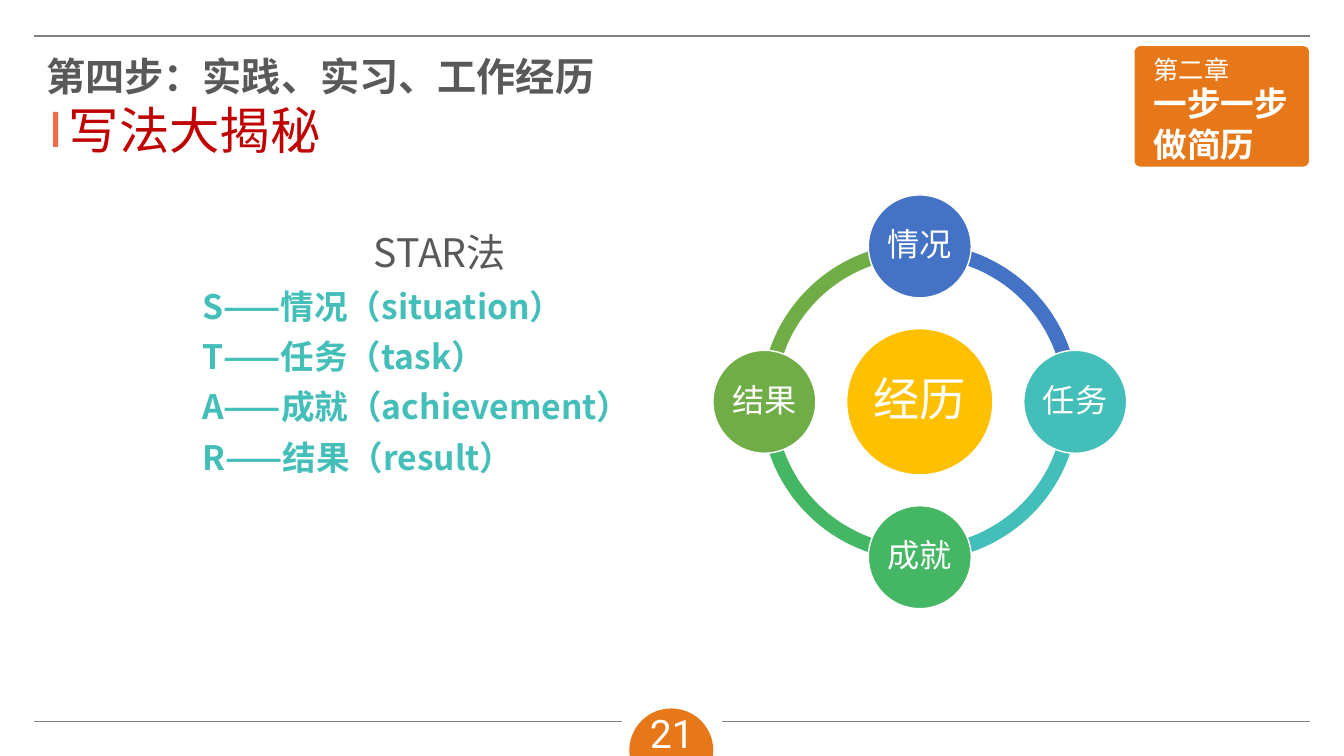
import math

import pptx
import pptx.dml.color
import pptx.enum.shapes
import pptx.enum.text
import pptx.oxml.ns
import pptx.util
from lxml import etree

Pt = pptx.util.Pt
SHAPE = pptx.enum.shapes.MSO_SHAPE
CENTER = pptx.enum.text.PP_ALIGN.CENTER
SANS = "Noto Sans CJK SC"
ORANGE, GRAY, DARK, TEAL, WHITE = "E67819", "808080", "595959", "43BEB9", "FFFFFF"


def color(hex_string):
    return pptx.dml.color.RGBColor.from_string(hex_string)


def format_paragraph(paragraph, size, fill, bold=False, font=SANS, align=None):
    paragraph.alignment = align
    for run in paragraph.runs:
        run.font.size = Pt(size)
        run.font.bold = bold
        run.font.name = font
        run.font.color.rgb = color(fill)
        east_asian = etree.SubElement(run.font._element, pptx.oxml.ns.qn("a:ea"))
        east_asian.set("typeface", font)


def set_insets(text_frame, side, top):
    text_frame.margin_left = text_frame.margin_right = Pt(side)
    text_frame.margin_top = text_frame.margin_bottom = Pt(top)


def add_text(slide, box, text, size, fill, **style):
    text_frame = slide.shapes.add_textbox(*map(Pt, box)).text_frame
    text_frame.word_wrap = True
    text_frame.text = text
    format_paragraph(text_frame.paragraphs[0], size, fill, **style)
    return text_frame


def add_filled(slide, kind, box, fill, outline=None):
    shape = slide.shapes.add_shape(kind, *map(Pt, box))
    shape.shadow.inherit = False
    shape.fill.solid()
    shape.fill.fore_color.rgb = color(fill)
    if outline:
        shape.line.color.rgb = color(outline)
        shape.line.width = Pt(1)
    else:
        shape.line.fill.background()
    return shape


def add_rule(slide, left, right, y, width):
    """Draw a horizontal gray line."""
    line = slide.shapes.add_connector(
        pptx.enum.shapes.MSO_CONNECTOR.STRAIGHT, Pt(left), Pt(y), Pt(right), Pt(y))
    line.line.color.rgb = color(GRAY)
    line.line.width = Pt(width)
    etree.SubElement(line._element.spPr, pptx.oxml.ns.qn("a:effectLst"))


def add_chapter_badge(slide, left, top, width, height):
    badge = add_filled(slide, SHAPE.ROUNDED_RECTANGLE, (left, top, width, height), ORANGE)
    badge.adjustments[0] = 0.046
    add_text(slide, (left + 6.5, top + 2, 98, 29), "第二章", 18, WHITE)
    add_text(slide, (left + 6.5, top + 23, 117.5, 65.5), "一步一步做简历", 24, WHITE, bold=True)


def add_heading(slide, left, top, width):
    add_text(slide, (left, top, width, 41), "第四步：实践、实习、工作经历", 28, DARK, bold=True)
    add_filled(slide, SHAPE.RECTANGLE, (left + 12, top + 46, 3.5, 25), "F26B43")
    add_text(slide, (left + 16, top + 33, 233, 51), "写法大揭秘", 36, "C00000",
             font="Noto Sans CJK JP")


def add_star_list(slide, box):
    text_frame = add_text(slide, box, "STAR法", 28, DARK, align=CENTER)
    text_frame.paragraphs[0].line_spacing = 0.9
    for text in ("S——情况（situation）", "T——任务（task）",
                 "A——成就（achievement）", "R——结果（result）"):
        paragraph = text_frame.add_paragraph()
        paragraph.text = text
        paragraph.line_spacing = 0.9
        paragraph.space_before = Pt(10)
        format_paragraph(paragraph, 24, TEAL, bold=True)


def add_disc(slide, center_x, center_y, diameter, fill, text, size):
    corner = (center_x - diameter / 2, center_y - diameter / 2)
    disc = add_filled(slide, SHAPE.OVAL, (*corner, diameter, diameter), fill, WHITE)
    text_frame = disc.text_frame
    text_frame.word_wrap = True
    set_insets(text_frame, 2, 2)
    text_frame.vertical_anchor = pptx.enum.text.MSO_ANCHOR.MIDDLE
    text_frame.text = text
    text_frame.paragraphs[0].line_spacing = 0.9
    format_paragraph(text_frame.paragraphs[0], size, WHITE, align=CENTER)


def add_star_cycle(slide, left, top, diameter):
    """Draw the ring of four steps, clockwise from the top, around the hub."""
    center_x, center_y = left + diameter / 2, top + diameter / 2
    steps = [("情况", "4472C4"), ("任务", TEAL), ("成就", "45B664"), ("结果", "70AD47")]
    angles = [(270 + 90 * index) % 360 for index in range(len(steps))]
    for angle, (_, fill) in zip(angles, steps):
        arc = add_filled(slide, SHAPE.BLOCK_ARC, (left, top, diameter, diameter), fill)
        arc.adjustments[0] = angle * 0.6
        arc.adjustments[1] = (angle + 90) % 360 * 0.6
        arc.adjustments[2] = 0.046
    add_disc(slide, center_x, center_y, 104.5, "FFC000", "经历", 33)
    for angle, (text, fill) in zip(angles, steps):
        x = center_x + 111 * math.cos(math.radians(angle))
        y = center_y + 111 * math.sin(math.radians(angle))
        add_disc(slide, x, y, 73.5, fill, text, 23)


def add_footer(slide, left, right, y):
    middle = (left + right) / 2
    add_filled(slide, SHAPE.OVAL, (middle - 30.5, y - 9.5, 60, 60), ORANGE)
    add_rule(slide, left, middle - 36, y, 0.75)
    add_rule(slide, middle + 36, right, y, 0.75)
    number = add_text(slide, (middle - 23, y - 12.5, 46, 29), "21", 28, WHITE,
                      font="Roboto", align=CENTER)
    set_insets(number, 0, 3.6)


def main():
    presentation = pptx.Presentation()
    presentation.slide_width, presentation.slide_height = Pt(960), Pt(540)
    slide = presentation.slides.add_slide(presentation.slide_layouts[6])
    add_rule(slide, 24, 935.5, 26, 1.5)
    add_chapter_badge(slide, 810.5, 33, 124.5, 86)
    add_footer(slide, 24, 936, 515.5)
    add_heading(slide, 26, 34, 410)
    add_star_list(slide, (137.5, 163.5, 353.5, 179))
    add_star_cycle(slide, 543.5, 173.5, 227)
    presentation.save("out.pptx")


if __name__ == "__main__":
    main()
